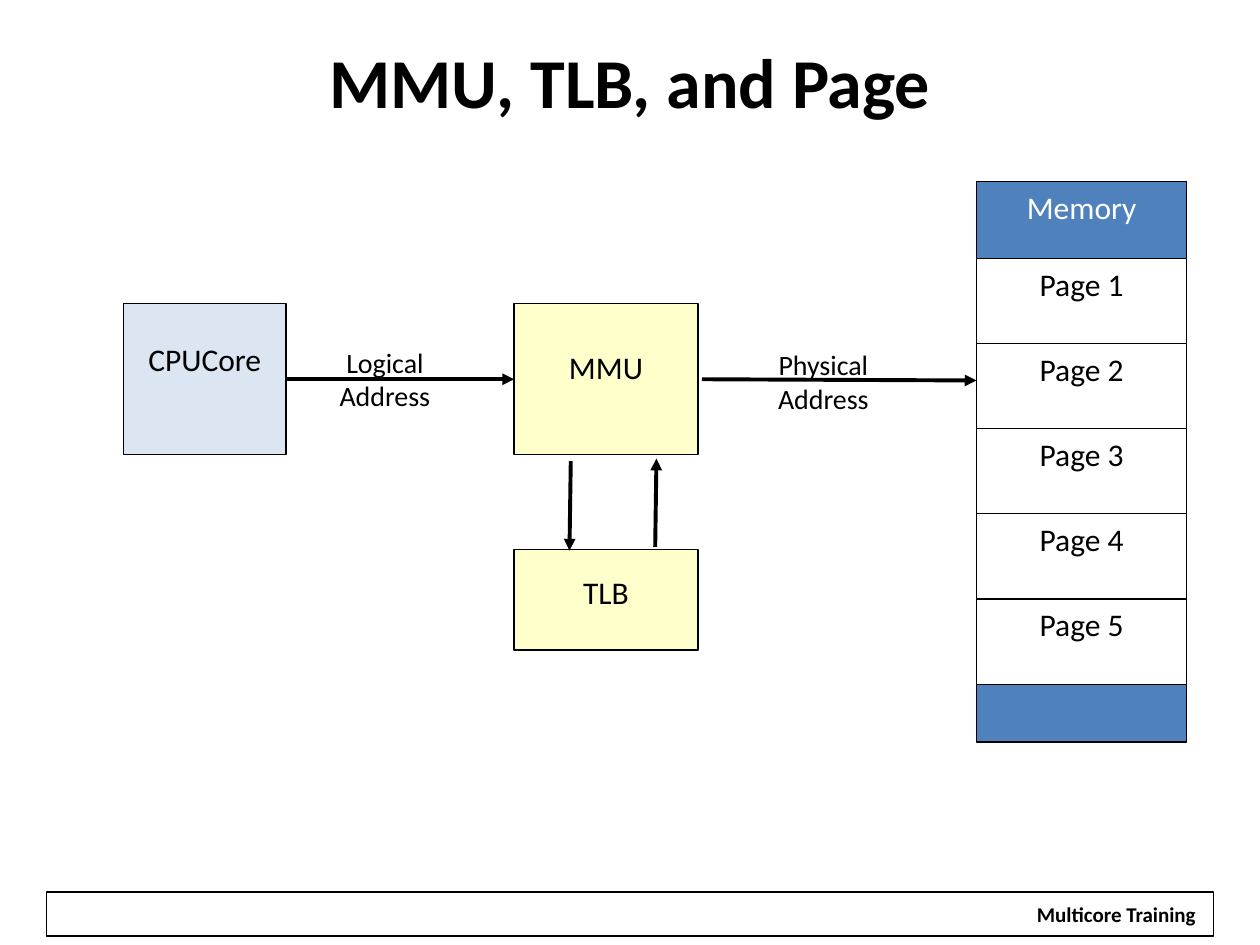
import pptx
import pptx.util
import pptx.dml.color
import pptx.enum.shapes
import pptx.enum.text
import lxml.etree
from pptx.util import Inches

show = pptx.Presentation()
show.slide_width, show.slide_height = Inches(10), Inches(7.5)
slide = show.slides.add_slide(show.slide_layouts[6])
shapes = slide.shapes


def color(code):
    return pptx.dml.color.RGBColor.from_string(code)


def write(shape, text, size, ink="000000", bold=False, top=0.05, wrap=True):
    frame = shape.text_frame
    frame.text = text
    frame.word_wrap = wrap
    frame.margin_top = Inches(top)
    frame.vertical_anchor = pptx.enum.text.MSO_ANCHOR.TOP
    for para in frame.paragraphs:
        para.alignment = pptx.enum.text.PP_ALIGN.CENTER
        for run in para.runs:
            run.font.name = "Calibri"
            run.font.size = pptx.util.Pt(size)
            run.font.bold = bold
            run.font.color.rgb = color(ink)


# Boxes: left, top, width, height, fill, text, text color, top inset
boxes = [
    (0.37, 7.08, 9.26, 0.35, "FFFFFF", "", "000000", 0.05),
    (0.98, 2.41, 1.29, 1.2, "DCE6F2", "CPUCore", "000000", 0.29),
    (4.08, 2.41, 1.46, 1.2, "FFFFCC", "MMU", "000000", 0.35),
    (4.08, 4.36, 1.46, 0.8, "FFFFCC", "TLB", "000000", 0.19),
    (7.75, 1.44, 1.67, 4.45, "4F81BD", "Memory", "FFFFFF", 0.05),
]
# Memory pages, stacked evenly
for num in range(5):
    boxes.append((7.75, 2.05 + 0.676 * num, 1.67, 0.68, "FFFFFF",
                  f"Page {num + 1}", "000000", 0.05))

for left, top, width, height, fill, text, ink, inset in boxes:
    box = shapes.add_shape(pptx.enum.shapes.MSO_SHAPE.RECTANGLE, Inches(left),
                           Inches(top), Inches(width), Inches(height))
    box.shadow.inherit = False
    box.fill.solid()
    box.fill.fore_color.rgb = color(fill)
    box.line.color.rgb = color("000000")
    box.line.width = pptx.util.Pt(0.75)
    if text:
        write(box, text, 18, ink, top=inset)

# Arrows: start and end points
arrows = [
    (2.27, 3.01, 4.08, 3.01),
    (4.53, 3.66, 4.52, 4.37),
    (5.2, 4.34, 5.21, 3.64),
    (5.57, 3.01, 7.75, 3.02),
]
for ends in arrows:
    arrow = shapes.add_connector(pptx.enum.shapes.MSO_CONNECTOR.STRAIGHT,
                                 *[Inches(end) for end in ends])
    arrow.line.color.rgb = color("000000")
    arrow.line.width = pptx.util.Pt(2.25)
    line = arrow.line._get_or_add_ln()
    lxml.etree.SubElement(line, pptx.oxml.ns.qn("a:tailEnd"), type="triangle")
    lxml.etree.SubElement(arrow._element.spPr, pptx.oxml.ns.qn("a:effectLst"))

# Title, arrow labels and footer: left, top, width, height, text, size, bold
labels = [
    (0.5, 0.2, 9, 0.88, "MMU, TLB, and Page", 40, True),
    (2.5, 2.69, 1.11, 0.64, "Logical\nAddress", 16, False),
    (5.98, 2.71, 1.11, 0.64, "Physical\nAddress", 16, False),
    (8.12, 7.11, 1.48, 0.3, "Multicore Training", 12, True),
]
for left, top, width, height, text, size, bold in labels:
    label = shapes.add_textbox(Inches(left), Inches(top), Inches(width),
                               Inches(height))
    write(label, text, size, bold=bold, wrap=False)
    if size == 40:
        label.text_frame.word_wrap = True
        label.text_frame.vertical_anchor = pptx.enum.text.MSO_ANCHOR.MIDDLE

show.save("out.pptx")
